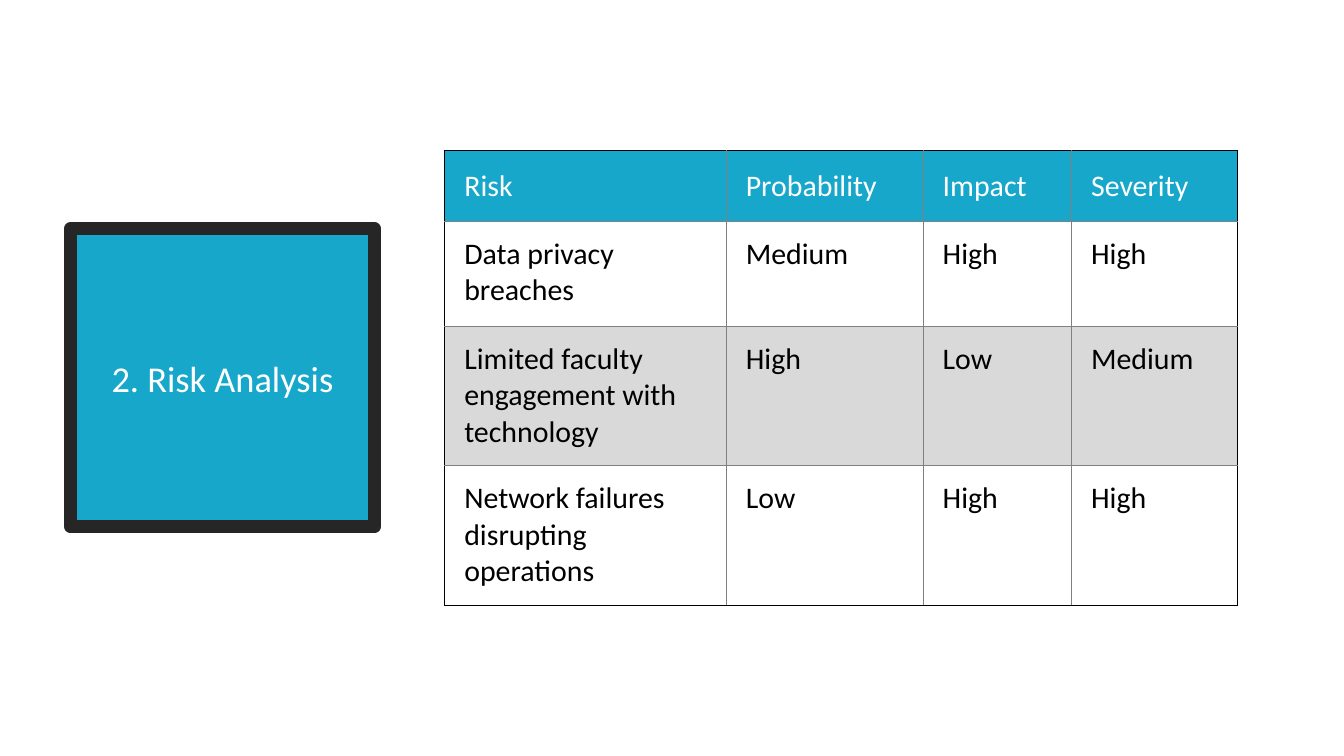
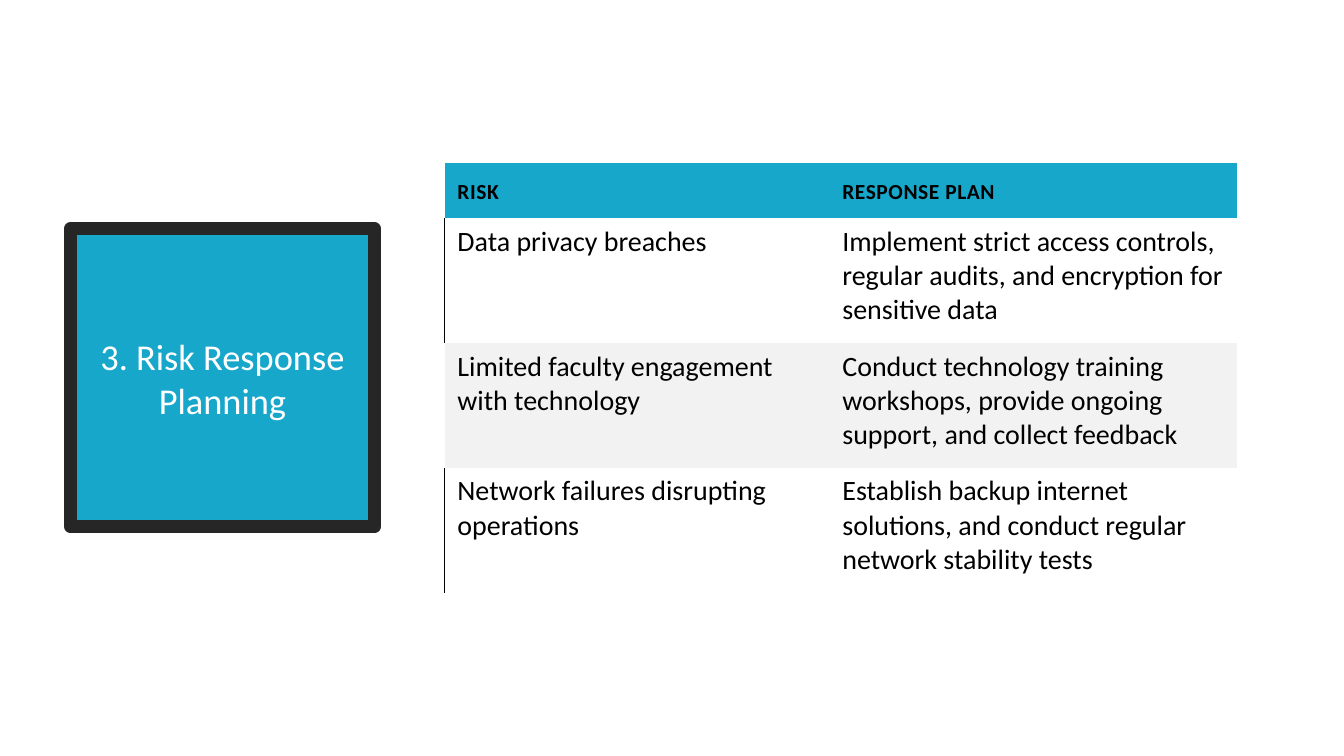
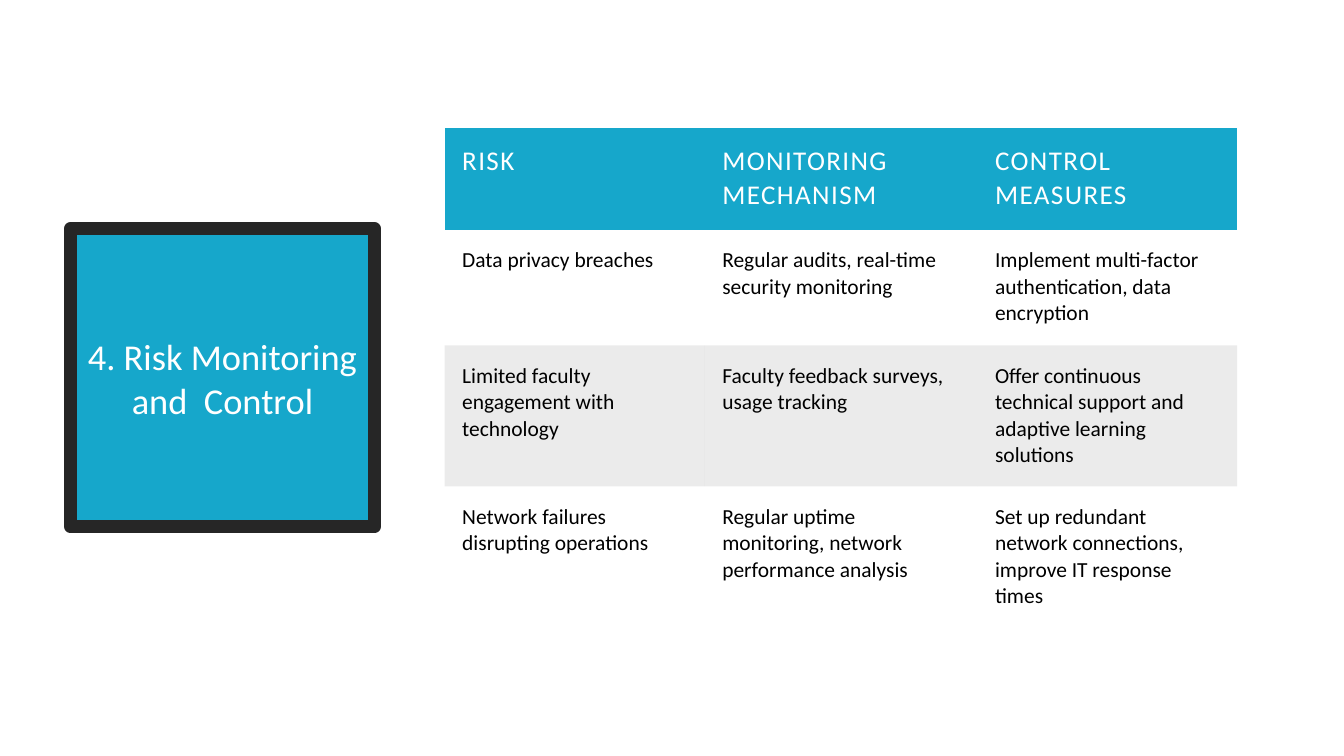
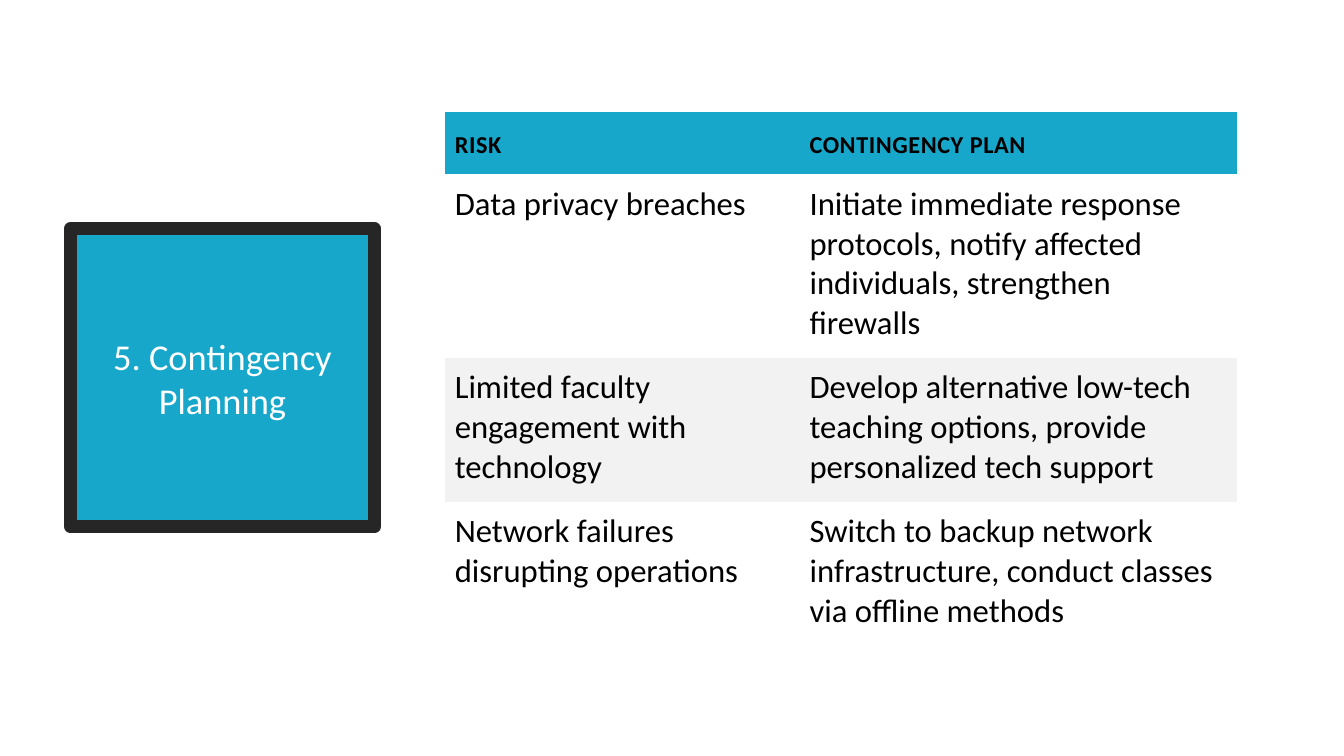
from dataclasses import dataclass

from lxml import etree
from pptx import Presentation
from pptx import util as u
from pptx.dml.color import RGBColor
from pptx.enum import shapes, text
from pptx.oxml import ns

# Shared colours
TEAL = RGBColor(0x16, 0xA7, 0xCB)
CHARCOAL = RGBColor(0x26, 0x26, 0x26)
WHITE = RGBColor(0xFF, 0xFF, 0xFF)
BLACK = RGBColor(0x00, 0x00, 0x00)
GREY = RGBColor(0x80, 0x80, 0x80)
SILVER = RGBColor(0xD9, 0xD9, 0xD9)
PALE = RGBColor(0xF2, 0xF2, 0xF2)

FONT = "Calibri"
TABLE_LEFT = 16.81
SIDES = ("L", "R", "T", "B")
RISKS = (
    "Data privacy breaches",
    "Limited faculty engagement with technology",
    "Network failures disrupting operations",
)


@dataclass
class CellStyle:
    size: float
    margins: tuple  # left, top, right, bottom in cm
    color: RGBColor = BLACK
    bold: bool = False
    spacing: float = 0
    anchor: text.MSO_ANCHOR = text.MSO_ANCHOR.TOP


# Border rules: (colour, points) for one side of a cell, or None
def no_border(row, column, side, last_row, last_column):
    return None


def framed_grid(row, column, side, last_row, last_column):
    outer = {"L": column == 0, "R": column == last_column,
             "T": row == 0, "B": row == last_row}
    return (BLACK, 1.5) if outer[side] else (GREY, 0.5)


def left_of_plain_rows(row, column, side, last_row, last_column):
    return (BLACK, 1) if side == "L" and column == 0 and row % 2 else None


class Deck:
    def __init__(self):
        self.prs = Presentation()
        self.prs.slide_width, self.prs.slide_height = u.Cm(50.8), u.Cm(28.58)
        self.slide = None

    def new_slide(self, title):
        self.slide = self.prs.slides.add_slide(self.prs.slide_layouts[6])
        self.badge(title)

    def put_text(self, frame, wording, style, align=text.PP_ALIGN.LEFT):
        paragraph = frame.paragraphs[0]
        paragraph.text = wording
        paragraph.alignment = align
        font = paragraph.font
        font.name, font.size, font.bold = FONT, u.Pt(style.size), style.bold
        font.color.rgb = style.color
        if style.spacing:
            font._rPr.set("spc", str(round(style.spacing * 100)))

    def badge(self, title):
        badge = self.slide.shapes.add_shape(
            shapes.MSO_SHAPE.RECTANGLE,
            u.Cm(2.67), u.Cm(8.64), u.Cm(11.48), u.Cm(11.28))
        badge.shadow.inherit = False
        badge.fill.solid()
        badge.fill.fore_color.rgb = TEAL
        badge.line.color.rgb = CHARCOAL
        badge.line.width = u.Pt(13.75)
        etree.SubElement(badge.line._ln, ns.qn("a:round"))
        style = CellStyle(39, (0.38, 0.18, 0.38, 0.18), WHITE)
        frame = badge.text_frame
        frame.word_wrap = True
        frame.vertical_anchor = text.MSO_ANCHOR.MIDDLE
        self.set_margins(frame, style.margins)
        self.put_text(frame, title, style, text.PP_ALIGN.CENTER)

    def set_margins(self, target, margins):
        (target.margin_left, target.margin_top,
         target.margin_right, target.margin_bottom) = map(u.Cm, margins)

    def set_borders(self, cell, edges):
        properties = cell._tc.get_or_add_tcPr()
        for index, side in enumerate(SIDES):
            line = etree.Element(ns.qn(f"a:ln{side}"))
            if edges[side]:
                color, width = edges[side]
                line.set("w", str(u.Pt(width)))
                fill = etree.SubElement(line, ns.qn("a:solidFill"))
                etree.SubElement(fill, ns.qn("a:srgbClr"), val=str(color))
            else:
                etree.SubElement(line, ns.qn("a:noFill"))
            properties.insert(index, line)

    def set_fill(self, cell, color, opacity=None):
        if color is None:
            cell.fill.background()
            return
        cell.fill.solid()
        cell.fill.fore_color.rgb = color
        if opacity:
            tint = cell._tc.tcPr.find(".//" + ns.qn("a:srgbClr"))
            etree.SubElement(tint, ns.qn("a:alpha"), val=str(opacity * 1000))

    def table(self, top, widths, heights, headings, answers, head, body,
              band, opacity=None, border=no_border):
        rows = [headings] + [(risk, *rest) for risk, rest in zip(RISKS, answers)]
        table = self.slide.shapes.add_table(
            len(rows), len(widths), u.Cm(TABLE_LEFT), u.Cm(top),
            u.Cm(sum(widths)), u.Cm(sum(heights))).table
        table.first_row = table.horz_banding = False
        for column, width in zip(table.columns, widths):
            column.width = u.Cm(width)
        for r, (wordings, height) in enumerate(zip(rows, heights)):
            table.rows[r].height = u.Cm(height)
            style = body if r else head
            for c, wording in enumerate(wordings):
                cell = table.cell(r, c)
                self.set_margins(cell, style.margins)
                cell.vertical_anchor = style.anchor
                self.put_text(cell.text_frame, wording, style)
                if r == 0:
                    self.set_fill(cell, TEAL)
                else:
                    self.set_fill(cell, None if r % 2 else band, opacity)
                self.set_borders(cell, {
                    side: border(r, c, side, len(rows) - 1, len(widths) - 1)
                    for side in SIDES})


def main():
    deck = Deck()

    # Risk analysis
    deck.new_slide("2. Risk Analysis")
    margins = (0.74, 0.56, 0.89, 0.56)
    deck.table(
        5.69, (10.64, 7.44, 5.61, 6.27), (2.67, 3.96, 5.28, 5.28),
        ("Risk", "Probability", "Impact", "Severity"),
        [("Medium", "High", "High"),
         ("High", "Low", "Medium"),
         ("Low", "High", "High")],
        CellStyle(32, margins, WHITE, anchor=text.MSO_ANCHOR.MIDDLE),
        CellStyle(32, margins), SILVER, border=framed_grid)

    # Risk response planning
    deck.new_slide("3. Risk Response Planning")
    deck.table(
        6.15, (14.55, 15.4), (2.11, 4.72, 4.72, 4.72),
        ("RISK", "RESPONSE PLAN"),
        [("Implement strict access controls, regular audits, "
          "and encryption for sensitive data",),
         ("Conduct technology training workshops, provide ongoing support, "
          "and collect feedback",),
         ("Establish backup internet solutions, "
          "and conduct regular network stability tests",)],
        CellStyle(23, (0.48,) * 4, bold=True, spacing=0.6,
                  anchor=text.MSO_ANCHOR.BOTTOM),
        CellStyle(30, (0.48, 0.23, 0.48, 0.48)), PALE,
        border=left_of_plain_rows)

    # Risk monitoring and control
    deck.new_slide("4. Risk Monitoring and  Control")
    margins = (0.66,) * 4
    deck.table(
        4.83, (9.83, 10.31, 9.81), (3.86, 4.37, 5.33, 5.33),
        ("RISK", "MONITORING MECHANISM", "CONTROL MEASURES"),
        [("Regular audits, real-time security monitoring",
          "Implement multi-factor authentication, data encryption"),
         ("Faculty feedback surveys, usage tracking",
          "Offer continuous technical support and adaptive learning solutions"),
         ("Regular uptime monitoring, network performance analysis",
          "Set up redundant network connections, improve IT response times")],
        CellStyle(29, margins, WHITE, spacing=1.5),
        CellStyle(23, margins), BLACK, opacity=8)

    # Contingency planning
    deck.new_slide("5. Contingency Planning")
    deck.table(
        4.22, (13.41, 16.54), (2.36, 6.88, 5.44, 5.44),
        ("RISK", "CONTINGENCY PLAN"),
        [("Initiate immediate response protocols, notify affected individuals, "
          "strengthen firewalls",),
         ("Develop alternative low-tech teaching options, "
          "provide personalized tech support",),
         ("Switch to backup network infrastructure, "
          "conduct classes via offline methods",)],
        CellStyle(26, (0.38, 0.53, 0.38, 0.53), bold=True, spacing=0.6,
                  anchor=text.MSO_ANCHOR.BOTTOM),
        CellStyle(35, (0.38, 0.38, 0.38, 0.53)), PALE)

    deck.prs.save("out.pptx")


if __name__ == "__main__":
    main()
